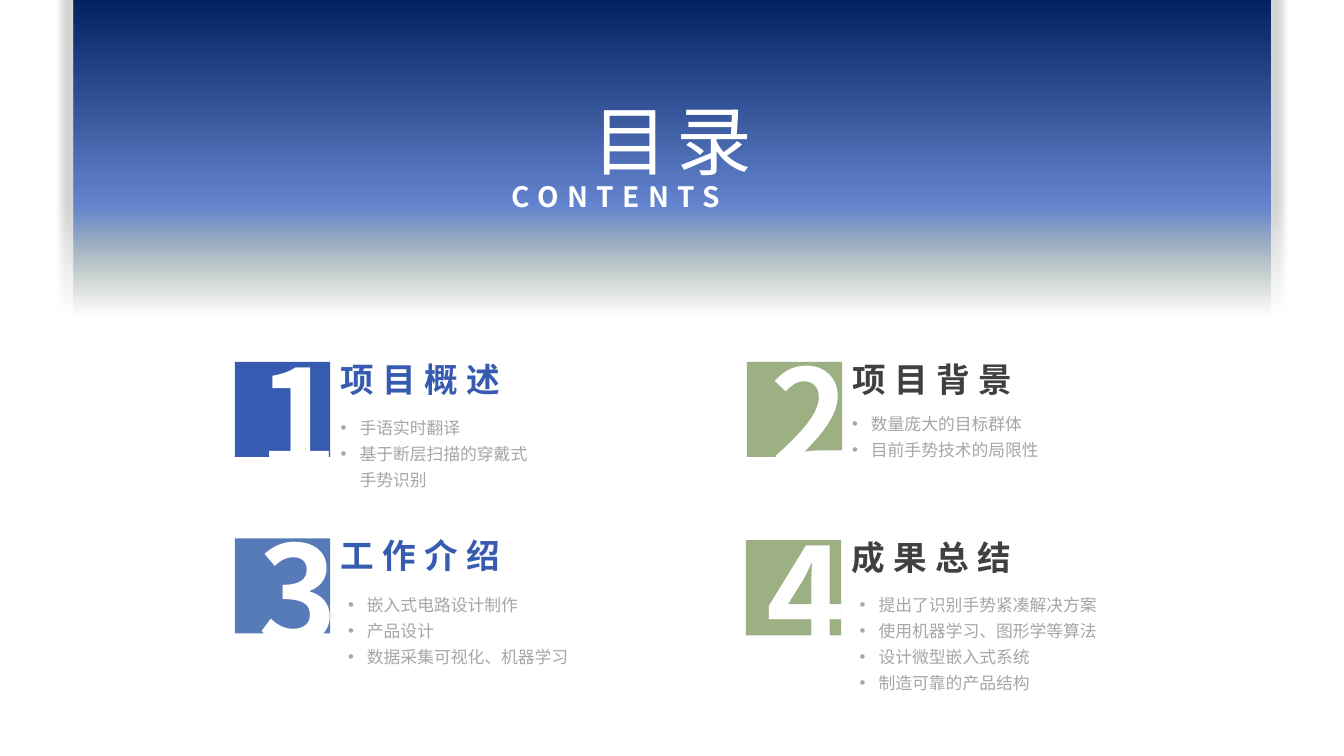
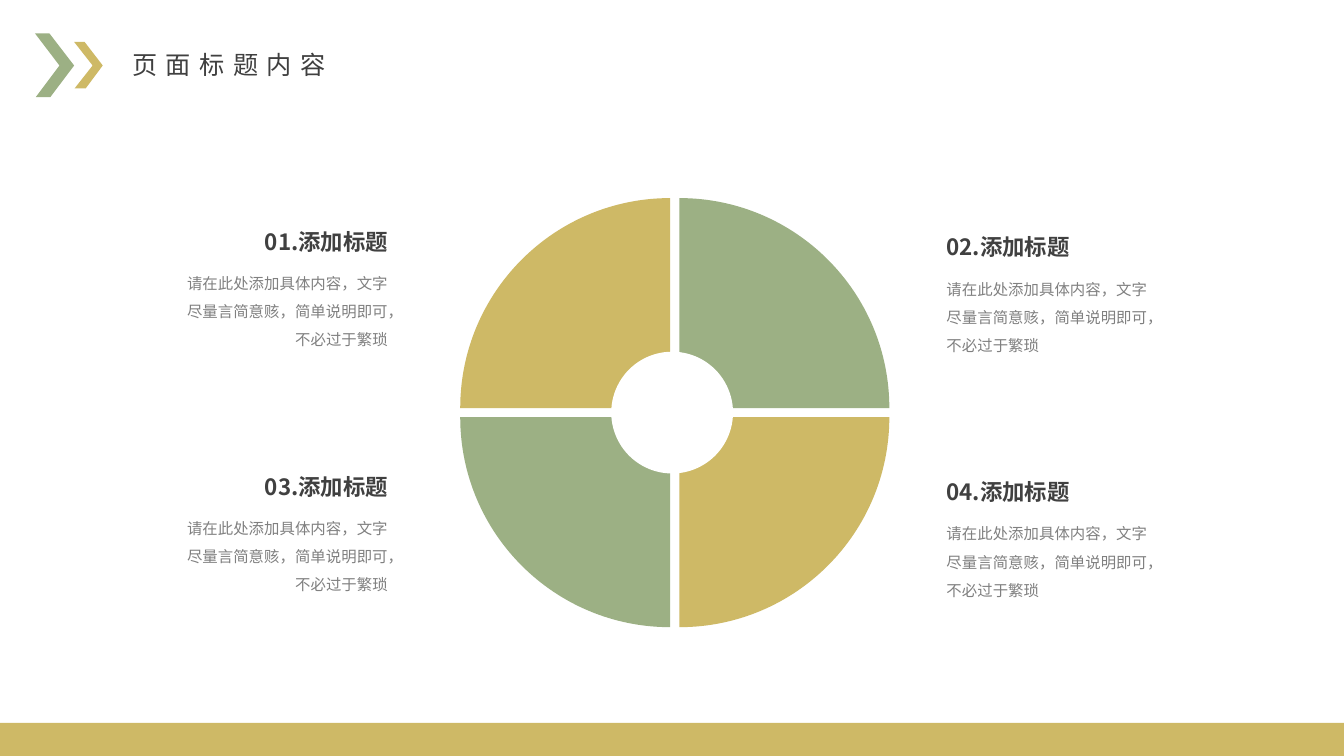
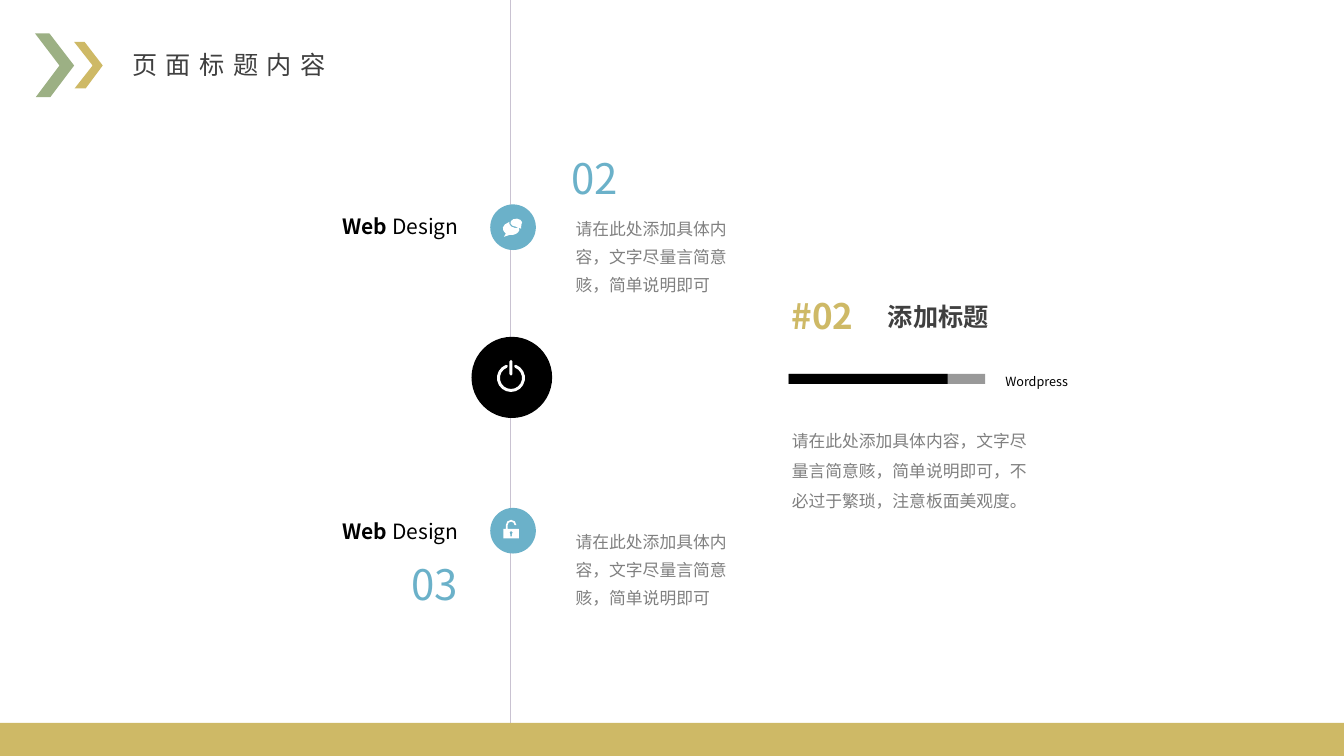
"""Builds a contents slide, a four-part ring slide and a timeline slide."""
import math

import lxml.etree
import pptx
import pptx.dml.color
import pptx.enum.shapes
import pptx.enum.text
import pptx.oxml
import pptx.oxml.ns
import pptx.util

Pt = pptx.util.Pt
RGBColor = pptx.dml.color.RGBColor
SHAPE = pptx.enum.shapes.MSO_SHAPE
ALIGN = pptx.enum.text.PP_ALIGN
ANCHOR = pptx.enum.text.MSO_ANCHOR
qn = pptx.oxml.ns.qn

GREEN = RGBColor(0x9C, 0xB0, 0x84)
GOLD = RGBColor(0xCE, 0xB9, 0x66)
BLUE = RGBColor(0x37, 0x5B, 0xB0)
STEEL = RGBColor(0x57, 0x7A, 0xB9)
SKY = RGBColor(0x6B, 0xB1, 0xC9)
LILAC = RGBColor(0xC9, 0xC2, 0xD1)
DARK = RGBColor(0x40, 0x40, 0x40)
GREY = RGBColor(0x80, 0x80, 0x80)
PALE = RGBColor(0xA6, 0xA6, 0xA6)
BLACK = RGBColor(0, 0, 0)
WHITE = RGBColor(0xFF, 0xFF, 0xFF)
SC = "Noto Sans CJK SC"
JP = "Noto Sans CJK JP"
WIDTH, HEIGHT = 960, 540

PAGE_TITLE = "页面标题内容"
CHEVRONS = [
    (GREEN, [(25, 23.8), (35.3, 23.8), (53, 46.8), (36, 69.3), (25.6, 69.3), (42.5, 46.8)]),
    (GOLD, [(53, 30), (60.5, 30), (73.4, 46.8), (61.2, 63.2), (53.3, 63.2), (66.2, 46.8)]),
]

SQUARE = 68
SECTIONS = [
    dict(number="1", title="项目概述", square=(167.8, 258.4), fill=BLUE, ink=BLUE, font=JP,
         digit_shift=9.9, points=["手语实时翻译", "基于断层扫描的穿戴式手势识别"],
         points_box=(236.2, 290.2, 152.6, 82.8)),
    dict(number="2", title="项目背景", square=(533.5, 258.4), fill=GREEN, ink=DARK, font=SC,
         digit_shift=9.9, points=["数量庞大的目标群体", "目前手势技术的局限性"],
         points_box=(601.5, 287.5, 152.6, 64)),
    dict(number="3", title="工作介绍", square=(167.8, 384.5), fill=STEEL, ink=BLUE, font=SC,
         digit_shift=9.9, points=["嵌入式电路设计制作", "产品设计", "数据采集可视化、机器学习"],
         points_box=(241.5, 416.6, 260.6, 82.8)),
    dict(number="4", title="成果总结", square=(532.8, 385.8), fill=GREEN, ink=DARK, font=SC,
         digit_shift=7.7,
         points=["提出了识别手势紧凑解决方案", "使用机器学习、图形学等算法",
                 "设计微型嵌入式系统", "制造可靠的产品结构"],
         points_box=(607, 416.6, 209.5, 82.8)),
]

RING_CENTER = (482, 294.75)
RING_RADIUS, RING_HALF_GAP = 150, 3.25
QUARTERS = [(-1, -1, 180, GOLD), (1, -1, 270, GREEN), (-1, 1, 90, GREEN), (1, 1, 0, GOLD)]
RING_BODY = "请在此处添加具体内容，文字尽量言简意赅，简单说明即可，不必过于繁琐"
RING_NOTES = [
    ("01.添加标题", 125.8, 159.1, ALIGN.RIGHT),
    ("02.添加标题", 669, 163.2, ALIGN.LEFT),
    ("03.添加标题", 125.8, 334.1, ALIGN.RIGHT),
    ("04.添加标题", 669, 338.2, ALIGN.LEFT),
]

AXIS_X = 364.5
STOP_SIZE = 32.6
STOP_BODY = "请在此处添加具体内容，文字尽量言简意赅，简单说明即可"
STOPS = [
    dict(number="02", number_box=(401, 105.1, 59.8, 43.9), align=ALIGN.LEFT,
         label_top=143.3, circle_top=146, body_top=147.2),
    dict(number="03", number_box=(274.3, 395.3, 59.8, 43.9), align=ALIGN.RIGHT,
         label_top=361.4, circle_top=362.8, body_top=370.8),
]
DETAIL_BODY = "请在此处添加具体内容，文字尽量言简意赅，简单说明即可，不必过于繁琐，注意板面美观度。"


def arc(cx, cy, rx, ry, start, end):
    """A first point, then Bezier curves along an ellipse, clockwise from the right."""
    count = math.ceil(abs(end - start) / 90)
    step = math.radians((end - start) / count)
    pull = 4 / 3 * math.tan(step / 4)

    def place(angle, bend=0):
        return (cx + rx * (math.cos(angle) - bend * math.sin(angle)),
                cy + ry * (math.sin(angle) + bend * math.cos(angle)))

    turns = [math.radians(start) + step * i for i in range(count + 1)]
    return [place(turns[0])] + [place(a, pull) + place(b, -pull) + place(b)
                                for a, b in zip(turns, turns[1:])]


def power_icon(cx=365, cy=270, outer=10, inner=7.9, opening=21):
    """Contours of a power sign."""
    first, last = 270 + opening, 630 - opening
    middle, cap = (outer + inner) / 2, (outer - inner) / 2

    def end_cap(angle, start):
        x = cx + middle * math.cos(math.radians(angle))
        y = cy + middle * math.sin(math.radians(angle))
        return arc(x, y, cap, cap, start, start + 180)[1:]

    ring = (arc(cx, cy, outer, outer, first, last) + end_cap(last, last)
            + arc(cx, cy, inner, inner, last, first)[1:] + end_cap(first, first + 180))
    bar = arc(cx, 258.2, 1.1, 1.1, 180, 360) + arc(cx, 267.3, 1.1, 1.1, 0, 180)
    return [ring, bar]


def lock_icon(cx=365.1):
    """Contours of an open padlock."""
    body = [(359.5, 377.8), (370.7, 377.8), (370.7, 384.6), (359.5, 384.6)]
    shackle = ([(cx - 3.8, 377.8)] + arc(cx, 375.1, 3.8, 3.8, 180, 360)
               + arc(cx, 375.1, 2.5, 2.5, 360, 180) + [(cx - 2.5, 377.8)])
    keyhole = arc(cx, 380.5, 1.2, 1.2, 120, 420) + [(cx + 0.6, 383.2), (cx - 0.6, 383.2)]
    return [body, shackle, keyhole]


def chat_icon():
    """Contours of two speech bubbles."""
    front = (365.2, 163.3, 6, 4.6)
    back = arc(368.8, 159.1, 4.2, 2.9, 90, 390) + [(372.2, 163.4)]
    return [back, arc(*front, 15, 100) + [(360, 169.2)] + arc(*front, 130, 250)
            + arc(368.8, 159.1, 5.1, 3.8, 190, 70)]


def paint(shape, color):
    shape.shadow.inherit = False
    shape.line.fill.background()
    shape.fill.solid()
    shape.fill.fore_color.rgb = color
    return shape


def add_block(slide, kind, box, color):
    return paint(slide.shapes.add_shape(kind, *map(Pt, box)), color)


def add_outline(slide, contours, color):
    """Draws contours whose pairs are straight corners and whose sextets are curves."""
    builder = slide.shapes.build_freeform(*map(Pt, contours[0][0]))
    for index, contour in enumerate(contours):
        if index:
            builder.move_to(*map(Pt, contour[0]))
        corners = [(Pt(part[i]), Pt(part[i + 1]))
                   for part in contour[1:] for i in range(0, len(part), 2)]
        builder.add_line_segments(corners, close=True)
    shape = builder.convert_to_shape()
    segments = iter(list(shape._element.iter(qn("a:lnTo"))))
    for part in (part for contour in contours for part in contour[1:]):
        segment = next(segments)
        if len(part) == 6:
            segment.tag = qn("a:cubicBezTo")
            for spare in (next(segments), next(segments)):
                segment.append(spare[0])
                spare.getparent().remove(spare)
    return paint(shape, color)


def add_text(slide, text, box, size=12, color=GREY, bold=False, font=SC, align=ALIGN.LEFT,
             anchor=ANCHOR.TOP, tracking=0, line=None, bullet=False, wrap=True,
             margins=(7.2, 3.6), lead=""):
    frame = slide.shapes.add_textbox(*map(Pt, box)).text_frame
    frame.word_wrap = wrap
    frame.vertical_anchor = anchor
    frame.margin_left = frame.margin_right = Pt(margins[0])
    frame.margin_top = frame.margin_bottom = Pt(margins[1])
    for index, words in enumerate([text] if isinstance(text, str) else text):
        paragraph = frame.add_paragraph() if index else frame.paragraphs[0]
        paragraph.alignment = align
        if line:
            paragraph.line_spacing = line
        if bullet:
            properties = paragraph._p.get_or_add_pPr()
            properties.set("marL", str(Pt(13.5)))
            properties.set("indent", str(-Pt(13.5)))
            lxml.etree.SubElement(properties, qn("a:buFont")).set("typeface", "Arial")
            lxml.etree.SubElement(properties, qn("a:buChar")).set("char", "•")
        for part, heavy in [(lead, True), (words, bold)]:
            if not part:
                continue
            run = paragraph.add_run()
            run.text = part
            run.font.size = Pt(size)
            run.font.bold = heavy
            run.font.color.rgb = color
            run.font.name = font
            letters = run._r.get_or_add_rPr()
            east = font if font in (SC, JP) else SC
            lxml.etree.SubElement(letters, qn("a:ea")).set("typeface", east)
            if tracking:
                letters.set("spc", str(tracking * 100))


def add_axis(slide, top, bottom, dot=False):
    line = slide.shapes.add_connector(pptx.enum.shapes.MSO_CONNECTOR.STRAIGHT,
                                      Pt(AXIS_X), Pt(top), Pt(AXIS_X), Pt(bottom))
    line.line.color.rgb = LILAC
    line.line.width = Pt(0.5)
    if dot:
        lxml.etree.SubElement(line.line._get_or_add_ln(), qn("a:tailEnd")).set("type", "oval")
    lxml.etree.SubElement(line._element.spPr, qn("a:effectLst"))


def add_page_frame(slide):
    for color, contour in CHEVRONS:
        add_outline(slide, [contour], color)
    add_text(slide, PAGE_TITLE, (87.4, 31.7, 160, 29), size=18, color=DARK, font="Lato",
             tracking=6, wrap=False)
    add_block(slide, SHAPE.RECTANGLE, (0, 516.4, WIDTH, 23.6), GOLD)


def add_banner(slide):
    banner = add_block(slide, SHAPE.RECTANGLE, (52.3, -1.4, 855.2, 225.4), BLUE)
    banner.fill.gradient()
    banner.fill.gradient_angle = 270
    stops = banner._element.spPr.find(qn("a:gradFill")).find(qn("a:gsLst"))
    for stop in list(stops):
        stops.remove(stop)
    for position, color, alpha in [(0, "002060", 100), (66, "6585CF", 100), (100, "9CB084", 0)]:
        stop = lxml.etree.SubElement(stops, qn("a:gs"), pos=str(position * 1000))
        tint = lxml.etree.SubElement(stop, qn("a:srgbClr"), val=color)
        lxml.etree.SubElement(tint, qn("a:alpha"), val=str(alpha * 1000))
    shadow = lxml.etree.SubElement(
        banner._element.spPr.find(qn("a:effectLst")), qn("a:outerShdw"), blurRad=str(Pt(5)),
        sx="102000", sy="102000", algn="ctr", rotWithShape="0")
    shade = lxml.etree.SubElement(shadow, qn("a:srgbClr"), val="000000")
    lxml.etree.SubElement(shade, qn("a:alpha"), val="16000")


def build_contents(slide):
    add_banner(slide)
    heading = dict(color=WHITE, font=JP, anchor=ANCHOR.BOTTOM, tracking=6)
    add_text(slide, "CONTENTS", (358.2, 80, 235.4, 75.6), size=20, bold=True,
             align=ALIGN.JUSTIFY, **heading)
    add_text(slide, "目录", (52.6, 60, 855.2, 75.6), size=54, align=ALIGN.CENTER, **heading)
    for section in SECTIONS:
        left, top = section["square"]
        add_block(slide, SHAPE.RECTANGLE, (left, top, SQUARE, SQUARE), section["fill"])
        add_text(slide, section["number"],
                 (left + section["digit_shift"], top - 24.2, SQUARE, 123.8),
                 size=96, color=WHITE, bold=True)
        add_text(slide, section["title"], (left + SQUARE + 0.4, top, 152.6, 30.2), size=24,
                 color=section["ink"], bold=True, font=section["font"],
                 anchor=ANCHOR.BOTTOM, tracking=6)
        add_text(slide, section["points"], section["points_box"], color=PALE, line=1.3,
                 bullet=True)


def build_ring(slide):
    cx, cy = RING_CENTER
    for across, down, start, color in QUARTERS:
        corner = (cx + across * RING_HALF_GAP, cy + down * RING_HALF_GAP)
        edge = arc(*corner, RING_RADIUS, RING_RADIUS, start, start + 90)
        add_outline(slide, [[corner] + edge], color)
    add_block(slide, SHAPE.OVAL, (436.6, 251.2, 87, 87), WHITE)
    for title, left, top, align in RING_NOTES:
        add_text(slide, RING_BODY, (left, top + 26.2, 158.4, 64), size=11, align=align,
                 line=Pt(20))
        add_text(slide, title, (left, top, 158.4, 26.6), size=16, color=DARK, bold=True,
                 align=align)
    add_page_frame(slide)


def build_timeline(slide):
    add_axis(slide, 0, 267, dot=True)
    add_axis(slide, 267, HEIGHT)
    add_block(slide, SHAPE.OVAL, (336.8, 240.6, 57.6, 58), BLACK)
    add_outline(slide, power_icon(), WHITE)
    for stop, icon in zip(STOPS, [chat_icon(), lock_icon()]):
        add_text(slide, " Design", (164, stop["label_top"], 170.6, 31.7), size=15,
                 color=BLACK, align=ALIGN.RIGHT, line=1.3, lead="Web")
        add_text(slide, stop["number"], stop["number_box"], size=30, color=SKY,
                 align=stop["align"])
        add_block(slide, SHAPE.OVAL, (350.2, stop["circle_top"], STOP_SIZE, STOP_SIZE), SKY)
        add_outline(slide, icon, WHITE)
        add_text(slide, STOP_BODY, (404.1, stop["body_top"], 129.6, 64.8), line=Pt(20))
    add_text(slide, "#02", (558.3, 206.6, 136.8, 37.4), size=25, color=GOLD, bold=True)
    add_text(slide, "添加标题", (627.1, 211.7, 113.8, 28.8), size=18, color=DARK, bold=True)
    track = add_block(slide, SHAPE.RECTANGLE, (563.3, 267.1, 140.4, 7.2), BLACK)
    tint = track._element.spPr.find(qn("a:solidFill"))[0]
    lxml.etree.SubElement(tint, qn("a:alpha"), val="40000")
    add_block(slide, SHAPE.RECTANGLE, (563.3, 267.1, 113.6, 7.2), BLACK)
    add_text(slide, "Wordpress", (714.5, 264.8, 79.2, 14.4), size=9, color=BLACK,
             margins=(3.6, 2.16))
    add_text(slide, DETAIL_BODY, (558.5, 296.8, 193.5, 69.1), line=1.5)
    add_page_frame(slide)


def main():
    deck = pptx.Presentation()
    deck.slide_width, deck.slide_height = Pt(WIDTH), Pt(HEIGHT)
    for build in (build_contents, build_ring, build_timeline):
        build(deck.slides.add_slide(deck.slide_layouts[6]))
    deck.save("out.pptx")


if __name__ == "__main__":
    main()
